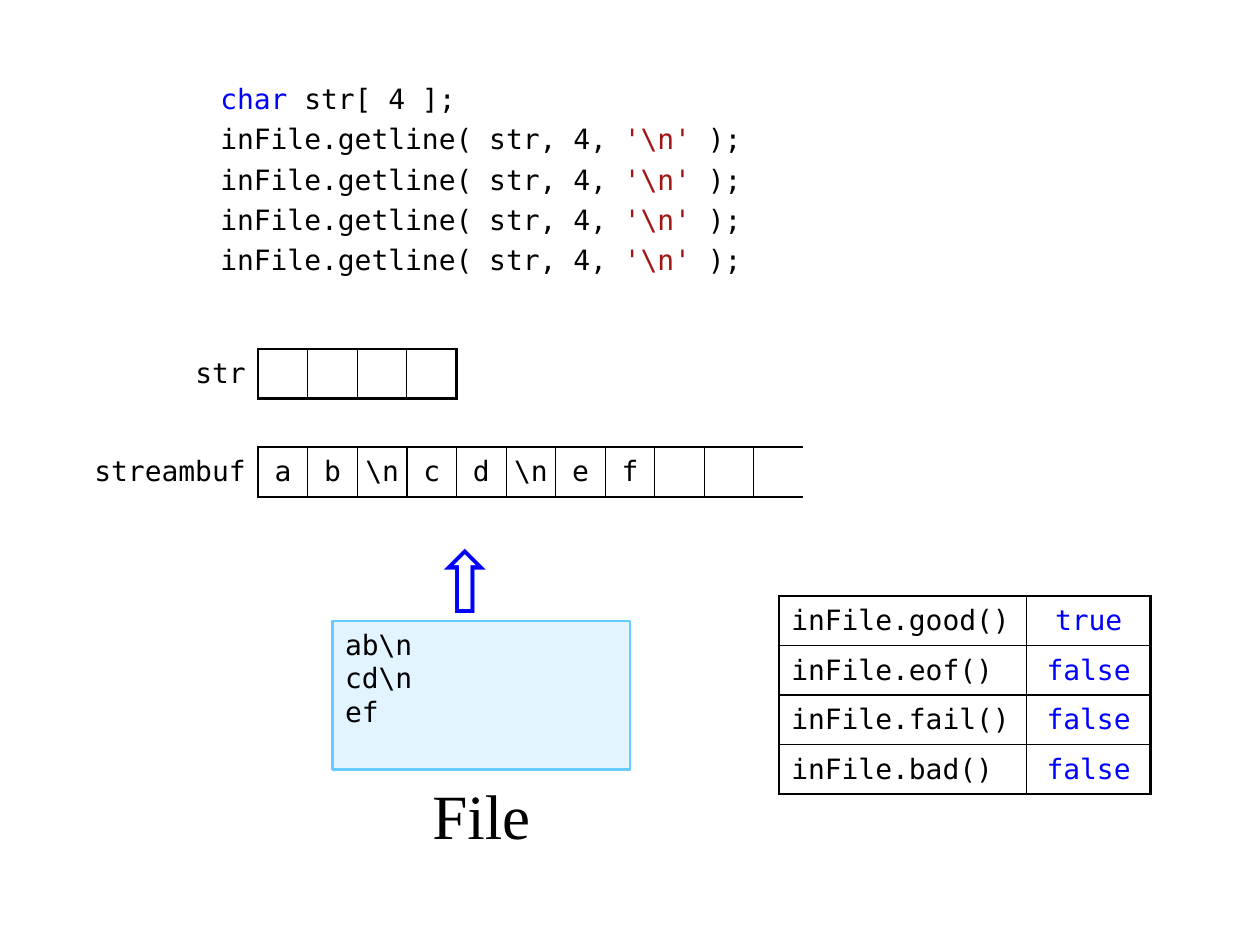
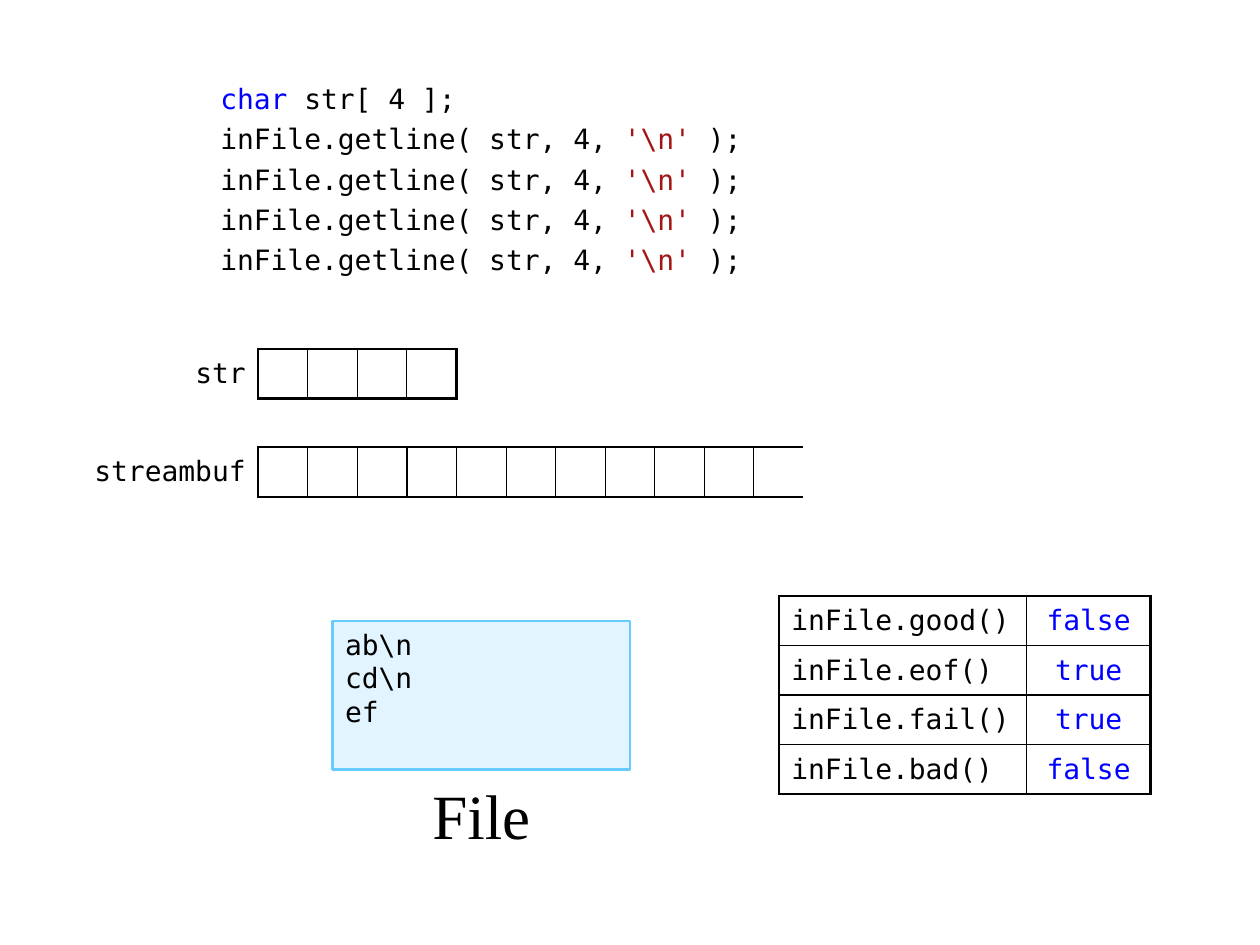
import pptx
import pptx.util
import pptx.dml.color
import pptx.enum.shapes
import pptx.enum.text
import pptx.oxml
import pptx.oxml.ns
from dataclasses import dataclass

Inches = pptx.util.Inches
Pt = pptx.util.Pt
Align = pptx.enum.text.PP_ALIGN
Anchor = pptx.enum.text.MSO_ANCHOR
CELL = 1 / 2.54


@dataclass
class Theme:
    ink: str = "000000"
    blue: str = "0000FF"
    red: str = "A31515"
    pale: str = "E1F4FF"
    edge: str = "66CCFF"
    mono: str = "DejaVu Sans Mono"
    serif: str = "Times New Roman"
    sign: str = "Courier New"
    code: float = 16
    title: float = 36
    arrow: float = 66
    gap: float = 3.75
    thin: float = 0.75
    mid: float = 1
    thick: float = 1.5


class Deck:
    def __init__(self, theme):
        self.theme = theme
        self.show = pptx.Presentation()
        self.show.slide_width = Inches(10)
        self.show.slide_height = Inches(7.5)
        self.slide = None

    def page(self):
        self.slide = self.show.slides.add_slide(self.show.slide_layouts[6])

    def rgb(self, tint):
        return pptx.dml.color.RGBColor.from_string(tint)

    def style(self, run, tint=None, face=None, size=None):
        run.font.name = face or self.theme.mono
        run.font.size = Pt(size or self.theme.code)
        run.font.bold = False
        run.font.color.rgb = self.rgb(tint or self.theme.ink)

    def inset(self, item, left, top, right, base):
        item.margin_left, item.margin_top = Inches(left), Inches(top)
        item.margin_right, item.margin_bottom = Inches(right), Inches(base)

    def fill(self, frame, text, align=Align.LEFT, **look):
        frame.text = text
        for line in frame.paragraphs:
            line.alignment = align
            for run in line.runs:
                self.style(run, **look)

    def box(self, left, top, width, height):
        frame = self.slide.shapes.add_textbox(
            Inches(left), Inches(top), Inches(width), Inches(height)).text_frame
        frame.word_wrap = True
        return frame

    def label(self, spot, text, align=Align.LEFT, pad=None, **look):
        frame = self.box(*spot)
        if pad:
            self.inset(frame, *pad)
        self.fill(frame, text, align, **look)

    def code(self, spot, lines):
        frame = self.box(*spot)
        self.inset(frame, 0.1, 0.05, 0, 0.05)
        for row, parts in enumerate(lines):
            line = frame.add_paragraph() if row else frame.paragraphs[0]
            line.space_before = Pt(self.theme.gap if row else 0)
            for text, tint in parts:
                run = line.add_run()
                run.text = text
                self.style(run, tint)

    def panel(self, spot, text):
        shape = self.slide.shapes.add_shape(
            pptx.enum.shapes.MSO_SHAPE.RECTANGLE, *map(Inches, spot))
        shape.shadow.inherit = False
        shape.fill.solid()
        shape.fill.fore_color.rgb = self.rgb(self.theme.pale)
        shape.line.color.rgb = self.rgb(self.theme.edge)
        shape.line.width = Pt(self.theme.thick)
        shape.text_frame.vertical_anchor = Anchor.TOP
        self.fill(shape.text_frame, text)

    def grid(self, left, top, widths, rows):
        table = self.slide.shapes.add_table(
            rows, len(widths), Inches(left), Inches(top),
            Inches(sum(widths)), Inches(rows * CELL)).table
        table.first_row = table.horz_banding = False
        for col, width in zip(table.columns, widths):
            col.width = Inches(width)
        for row in table.rows:
            row.height = Inches(CELL)
        return table

    def cell(self, cell, text, align, pad, sides):
        self.inset(cell, *pad)
        cell.vertical_anchor = Anchor.MIDDLE
        self.fill(cell.text_frame, text, align)
        props = cell._tc.get_or_add_tcPr()
        space = pptx.oxml.ns.nsdecls("a")
        for side, width in zip("LRTB", sides):
            paint = (f'<a:solidFill><a:srgbClr val="{self.theme.ink}"/></a:solidFill>'
                     if width else "<a:noFill/>")
            props.append(pptx.oxml.parse_xml(
                f'<a:ln{side} {space} w="{Pt(width)}">{paint}</a:ln{side}>'))
        cell.fill.background()

    def strip(self, left, top, name, head, items, open_end=False):
        thin, thick = self.theme.thin, self.theme.thick
        last = len(items)
        table = self.grid(left, top, [head] + [CELL] * last, 1)
        self.cell(table.cell(0, 0), name, Align.RIGHT, (0, 0, 0.1, 0), (0, thick, 0, 0))
        for col, item in enumerate(items, 1):
            start = thick if col == 1 else thin
            end = thin if col < last else 0 if open_end else thick
            self.cell(table.cell(0, col), item, Align.CENTER, (0, 0, 0, 0),
                      (start, end, thick, thick))

    def states(self, left, top, pairs):
        mid, thick = self.theme.mid, self.theme.thick
        table = self.grid(left, top, [5 * CELL, 2.5 * CELL], len(pairs))
        pad = (0.1, 0.04, 0.1, 0.04)
        for row, (name, value) in enumerate(pairs):
            top_line = mid if row else thick
            base = mid if row < len(pairs) - 1 else thick
            self.cell(table.cell(row, 0), name, Align.LEFT, pad,
                      (thick, mid, top_line, base))
            cell = table.cell(row, 1)
            self.cell(cell, value, Align.CENTER, pad, (mid, thick, top_line, base))
            self.style(cell.text_frame.paragraphs[0].runs[0], self.theme.blue)


def draw(deck, buffer, values, arrow):
    theme = deck.theme
    deck.page()
    call = [("inFile.getline( str, 4, ", theme.ink), (r"'\n'", theme.red),
            (" );", theme.ink)]
    first = [("char ", theme.blue), ("str[ 4 ];", theme.ink)]
    deck.code((1.65, 0.6, 4.33, 1.58), [first] + [call] * 4)
    deck.strip(0.67, 3.55, "streambuf", 1.38, buffer + [""] * (11 - len(buffer)), True)
    deck.strip(1.46, 2.77, "str", 0.59, [""] * 4)
    deck.panel((2.64, 4.93, 2.36, 1.18), "\n".join([r"ab\n", r"cd\n", "ef"]))
    deck.label((3.23, 6.11, 1.18, 0.79), "File", Align.CENTER,
               face=theme.serif, size=theme.title)
    tests = [f"inFile.{name}()" for name in ("good", "eof", "fail", "bad")]
    deck.states(6.18, 4.73, list(zip(tests, values)))
    if arrow:
        deck.label((3.42, 3.95, 0.79, 0.98), "⇧", pad=(0, 0, 0, 0),
                   tint=theme.blue, face=theme.sign, size=theme.arrow)


def main():
    deck = Deck(Theme())
    draw(deck, ["a", "b", r"\n", "c", "d", r"\n", "e", "f"],
         ["true", "false", "false", "false"], True)
    draw(deck, [], ["false", "true", "true", "false"], False)
    deck.show.save("out.pptx")


if __name__ == "__main__":
    main()
